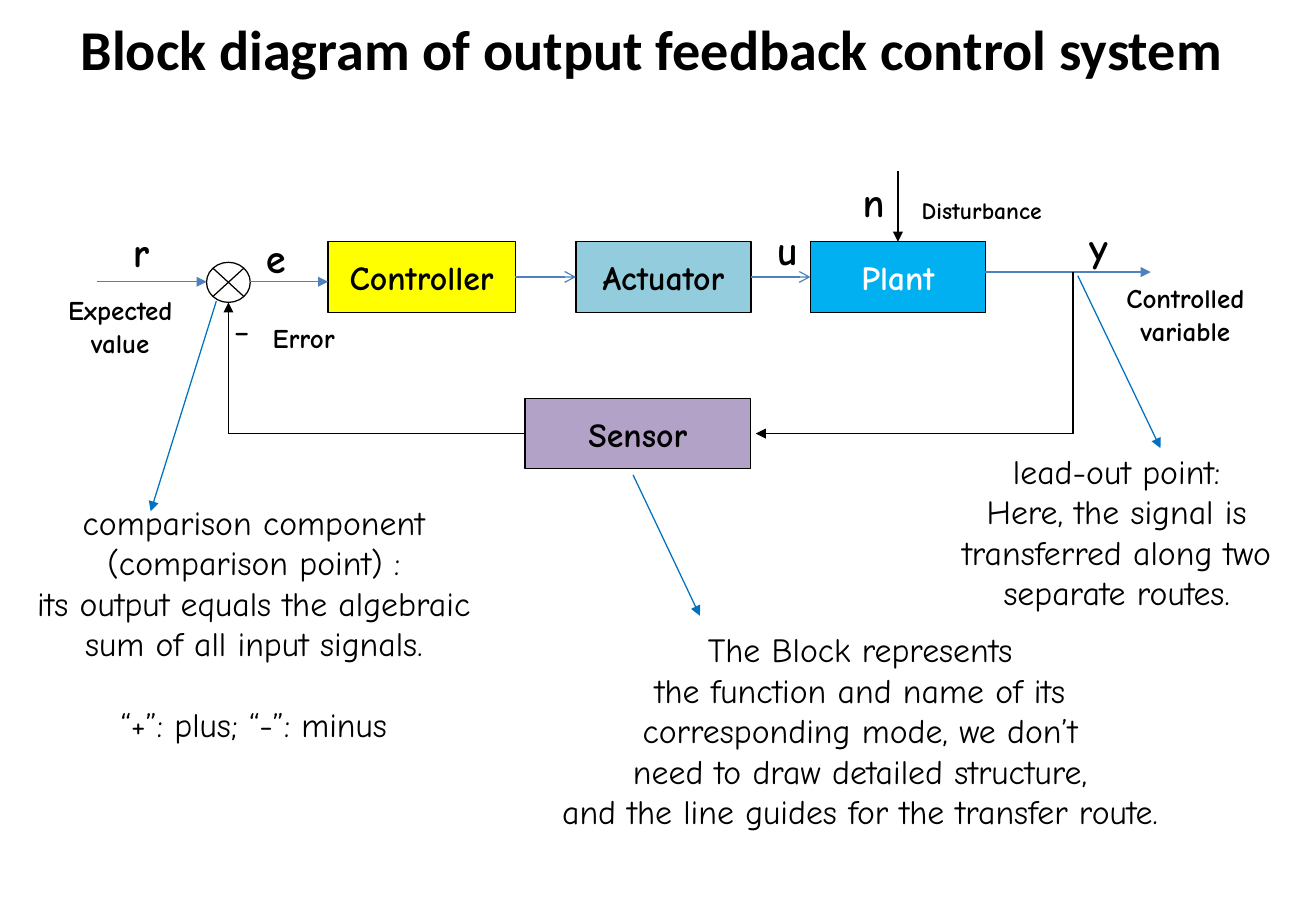
from dataclasses import dataclass

from lxml import etree
from pptx import Presentation
from pptx.dml.color import RGBColor
from pptx.enum.shapes import MSO_CONNECTOR, MSO_SHAPE
from pptx.enum.text import MSO_ANCHOR, MSO_AUTO_SIZE, PP_ALIGN
from pptx.oxml.ns import qn
from pptx.shapes.autoshape import Shape
from pptx.slide import Slide
from pptx.text.text import TextFrame
from pptx.util import Inches, Pt

STRAIGHT = MSO_CONNECTOR.STRAIGHT
RECTANGLE = MSO_SHAPE.RECTANGLE
SUMMING_JUNCTION = MSO_SHAPE.FLOWCHART_SUMMING_JUNCTION
MIDDLE = MSO_ANCHOR.MIDDLE
CENTER = PP_ALIGN.CENTER
NO_AUTOFIT = MSO_AUTO_SIZE.NONE

BLACK = RGBColor(0x00, 0x00, 0x00)
WHITE = RGBColor(0xFF, 0xFF, 0xFF)
YELLOW = RGBColor(0xFF, 0xFF, 0x00)
AQUA = RGBColor(0x93, 0xCD, 0xDD)
SKY = RGBColor(0x00, 0xB0, 0xF0)
LILAC = RGBColor(0xB3, 0xA2, 0xC7)
SIGNAL_BLUE = RGBColor(0x4F, 0x81, 0xBD)
POINTER_BLUE = RGBColor(0x00, 0x70, 0xC0)

TITLE_FONT = "Calibri"
DIAGRAM_FONT = "Comic Neue"
COLUMN = ROW = Inches(0.1)
COLUMNS, ROWS = 108.3, 75

BLOCK_TOP, BLOCK_ROWS = 19.9, 5.8
BLOCK_MIDDLE = BLOCK_TOP + BLOCK_ROWS / 2
SENSOR_TOP = 32.8
FEEDBACK_ROW = SENSOR_TOP + BLOCK_ROWS / 2
INPUT_ROW = 23.2
OUTPUT_ROW = 22.4
JUNCTION_COLUMN = 18.8
LEAD_OUT_COLUMN = 88.3
PLANT_MIDDLE = 73.9
SYMBOL_COLUMNS, SYMBOL_ROWS, SYMBOL_SIZE = 3.8, 5.1, 24


@dataclass(frozen=True)
class Block:
    name: str
    left: float
    top: float
    columns: float
    fill: RGBColor
    text_color: RGBColor = BLACK


@dataclass(frozen=True)
class Route:
    start: tuple[float, float]
    end: tuple[float, float]
    color: RGBColor = BLACK
    head: str = "triangle"


@dataclass(frozen=True)
class Symbol:
    letter: str
    left: float
    top: float
    bold: bool = True


@dataclass(frozen=True)
class Caption:
    text: str
    left: float
    top: float
    columns: float
    rows: float
    size: float = 20
    bold: bool = False
    wrap: bool = True


BLOCKS = [
    Block("Controller", 27, BLOCK_TOP, 15.4, YELLOW),
    Block("Actuator", 47.4, BLOCK_TOP, 14.4, AQUA),
    Block("Plant", 66.7, BLOCK_TOP, 14.4, SKY, WHITE),
    Block("Sensor", 43.2, SENSOR_TOP, 18.6, LILAC),
]
ROUTES = [
    Route((8, INPUT_ROW), (17, INPUT_ROW), SIGNAL_BLUE),
    Route((20.6, INPUT_ROW), (27, INPUT_ROW), SIGNAL_BLUE),
    Route((42.4, BLOCK_MIDDLE), (47.4, BLOCK_MIDDLE), SIGNAL_BLUE, "arrow"),
    Route((61.8, BLOCK_MIDDLE), (66.7, BLOCK_MIDDLE), SIGNAL_BLUE, "arrow"),
    Route((81.1, OUTPUT_ROW), (94.7, OUTPUT_ROW), SIGNAL_BLUE),
    Route((PLANT_MIDDLE, 14.1), (PLANT_MIDDLE, BLOCK_TOP)),
    Route((LEAD_OUT_COLUMN, OUTPUT_ROW), (LEAD_OUT_COLUMN, FEEDBACK_ROW), head="none"),
    Route((LEAD_OUT_COLUMN, FEEDBACK_ROW), (62.2, FEEDBACK_ROW)),
    Route((43.2, FEEDBACK_ROW), (JUNCTION_COLUMN, FEEDBACK_ROW), head="none"),
    Route((JUNCTION_COLUMN, FEEDBACK_ROW), (JUNCTION_COLUMN, 24.9)),
    Route((17.8, 24.8), (12.4, 42.1), POINTER_BLUE),
    Route((88.7, 22.7), (95.5, 36.9), POINTER_BLUE),
    Route((52.1, 39.1), (57.6, 50.7), POINTER_BLUE),
]
SYMBOLS = [
    Symbol("r", 9.7, 18.2),
    Symbol("e", 20.8, 18.7),
    Symbol("u", 62.9, 18),
    Symbol("n", 70, 14.1),
    Symbol("y", 88.5, 17.8),
    Symbol("-", 18, 24.5, bold=False),
]
CAPTIONS = [
    Caption("Expected value", 2.9, 23.7, 14, 6.4, 16, True),
    Caption("Error", 18.8, 26, 12.4, 3.7, 16, True),
    Caption("Disturbance", 74.2, 15.6, 13.2, 3.4, 14, True, False),
    Caption("Controlled\nvariable", 91.1, 22.7, 12.9, 10.4, 16, True, False),
    Caption(
        "lead-out point:\nHere, the signal is transferred along two separate routes.",
        75.5, 36.6, 32.8, 17.7,
    ),
    Caption(
        "The Block represents\nthe function and name of its\n"
        "corresponding mode, we don’t\nneed to draw detailed structure,\n"
        "and the line guides for the transfer route.",
        42, 51.3, 57.6, 17.8, wrap=False,
    ),
]
COMPARISON = Caption(
    "comparison component (comparison point) :\n"
    "its output equals the algebraic sum of all input signals.\n"
    "“+”: plus; “-”: minus",
    1.7, 40.8, 38.4, 24.3,
)


def grid(left: float, top: float, columns: float, rows: float) -> tuple[int, int, int, int]:
    return (
        round(left * COLUMN),
        round(top * ROW),
        round(columns * COLUMN),
        round(rows * ROW),
    )


def write(frame: TextFrame, text: str, size: float, bold: bool,
          color: RGBColor = BLACK, font: str = DIAGRAM_FONT) -> None:
    frame.text = text
    for paragraph in frame.paragraphs:
        paragraph.alignment = CENTER
        for run in paragraph.runs:
            run.font.name = font
            run.font.size = Pt(size)
            run.font.bold = bold
            run.font.color.rgb = color


def draw_outlined(slide: Slide, preset: MSO_SHAPE, fill: RGBColor,
                  place: tuple[int, int, int, int]) -> Shape:
    outlined = slide.shapes.add_shape(preset, *place)
    outlined.shadow.inherit = False
    outlined.fill.solid()
    outlined.fill.fore_color.rgb = fill
    outlined.line.color.rgb = BLACK
    outlined.line.width = Pt(0.75)
    return outlined


def draw_block(slide: Slide, block: Block) -> None:
    place = grid(block.left, block.top, block.columns, BLOCK_ROWS)
    frame = draw_outlined(slide, RECTANGLE, block.fill, place).text_frame
    frame.word_wrap = False
    frame.vertical_anchor = MIDDLE
    write(frame, block.name, 20, True, block.text_color)


def draw_route(slide: Slide, route: Route) -> None:
    ends = grid(*route.start, *route.end)
    connector = slide.shapes.add_connector(STRAIGHT, *ends)
    connector.line.color.rgb = route.color
    connector.line.width = Pt(0.75)
    etree.SubElement(connector.line._get_or_add_ln(), qn("a:tailEnd"), type=route.head)
    etree.SubElement(connector._element.spPr, qn("a:effectLst"))


def draw_caption(slide: Slide, caption: Caption) -> TextFrame:
    place = grid(caption.left, caption.top, caption.columns, caption.rows)
    frame = slide.shapes.add_textbox(*place).text_frame
    frame.word_wrap = caption.wrap
    write(frame, caption.text, caption.size, caption.bold)
    return frame


def draw_symbol(slide: Slide, symbol: Symbol) -> None:
    draw_caption(slide, Caption(symbol.letter, symbol.left, symbol.top, SYMBOL_COLUMNS,
                                SYMBOL_ROWS, SYMBOL_SIZE, symbol.bold, False))


def draw_title(slide: Slide) -> None:
    title = slide.shapes.title
    title.left, title.top, title.width, title.height = grid(4.9, 0, 97.5, 7.9)
    frame = title.text_frame
    frame.auto_size = NO_AUTOFIT
    frame.vertical_anchor = MIDDLE
    write(frame, "Block diagram of output feedback control system", 33.3, True, font=TITLE_FONT)


def main() -> None:
    deck = Presentation()
    _, _, deck.slide_width, deck.slide_height = grid(0, 0, COLUMNS, ROWS)
    slide = deck.slides.add_slide(deck.slide_layouts.get_by_name("Title Only"))
    draw_title(slide)
    for block in BLOCKS:
        draw_block(slide, block)
    draw_outlined(slide, SUMMING_JUNCTION, WHITE, grid(17, 21.6, 3.6, 3.3))
    for route in ROUTES:
        draw_route(slide, route)
    for symbol in SYMBOLS:
        draw_symbol(slide, symbol)
    for caption in CAPTIONS:
        draw_caption(slide, caption)
    comparison = draw_caption(slide, COMPARISON)
    comparison.paragraphs[-1].space_before = Pt(24)
    deck.save("out.pptx")


if __name__ == "__main__":
    main()
